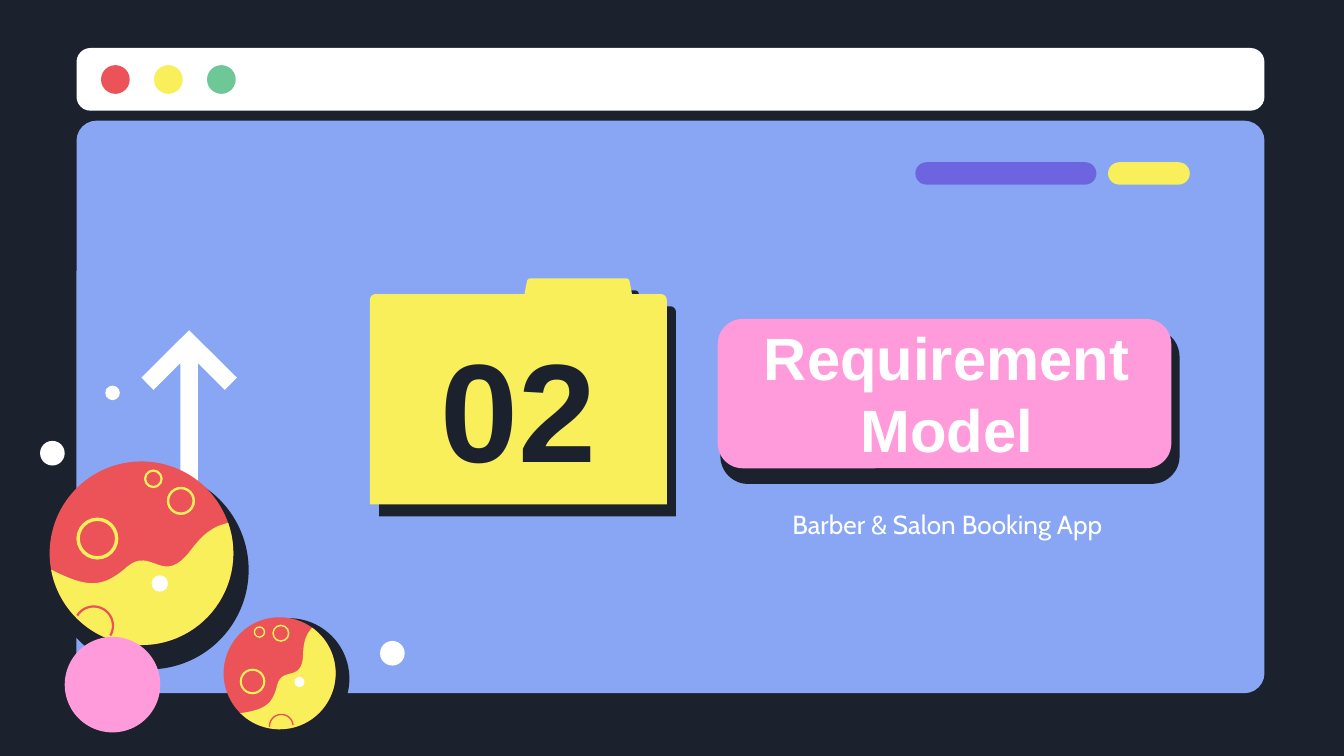
from math import cos, sin, radians
from lxml.etree import SubElement
from pptx import Presentation
from pptx.dml.color import RGBColor
from pptx.enum.shapes import MSO_SHAPE as Kind
from pptx.enum.text import MSO_ANCHOR as Anchor, PP_ALIGN as Align
from pptx.oxml.ns import qn
from pptx.util import Pt

NAVY = RGBColor(0x1B, 0x22, 0x2D)
WHITE = RGBColor(0xFF, 0xFF, 0xFF)
BLUE = RGBColor(0x88, 0xA6, 0xF3)
RED = RGBColor(0xEB, 0x53, 0x58)
YELLOW = RGBColor(0xF8, 0xEF, 0x5B)
GREEN = RGBColor(0x6D, 0xC7, 0x97)
PURPLE = RGBColor(0x6D, 0x65, 0xE0)
PINK = RGBColor(0xFF, 0x9B, 0xDA)

PANELS = [
    (41, 64.7, 636.4, 306.7, 0.035, BLUE),
    (41, 25.7, 636.4, 33.6, 0.223, WHITE),
    (490.4, 86.9, 97, 12, 0.5, PURPLE),
    (593.6, 86.9, 43.8, 12, 0.5, YELLOW),
]
LIGHTS = [RED, YELLOW, GREEN]
DOTS = [(28.1, 242.8, 6.6), (210.2, 350, 6.6), (60.3, 210.5, 3.9)]
ARROW = [
    (96.7, 308.9), (96.7, 194.4), (82.2, 208.9), (75.8, 202.3), (101.3, 176.9),
    (126.9, 202.3), (120.4, 208.9), (106, 194.4), (106, 308.9),
]
FOLDER = [
    (357.2, 160.7), (357.2, 270.2), (198.2, 270.2), (198.2, 160.7),
    (198.2, 159, 199.6, 157.6, 201.3, 157.6), (281, 157.6), (282.3, 150.8),
    (282.5, 149.8, 283.3, 149.1, 284.4, 149.1), (335.2, 149.1),
    (336.3, 149.1, 337.1, 149.8, 337.3, 150.8), (338.6, 157.6), (354, 157.6),
    (355.8, 157.6, 357.2, 159, 357.2, 160.7),
]
WAVE = [
    (-0.98, 0.18), (-0.59, 0.38, -0.42, 0.38, -0.16, 0.15),
    (0.12, -0.09, 0.23, 0.39, 0.55, -0.05), (0.70, -0.25, 0.82, -0.30, 0.94, -0.33),
]
RINGS = [(0.43, -0.57, 0.14, 1.3), (-0.48, -0.16, 0.21, 1.8), (0.13, -0.81, 0.09, 1.2)]
CRATER = (-0.52, 0.79, 0.21)
SPOT = (0.20, 0.33, 0.09)
BIG = (75.8, 296.4, 49.2, 0, (79.9, 305.3, 53.3))
SMALL = (149.8, 360.7, 30, -35.2, (154.8, 363.6, 32.4))
TEXTS = [
    ("02", 216.7, 182.2, 122.4, 71.3, 75, "Arial", True, NAVY),
    ("Requirement Model", 378.7, 177.1, 257, 66.2, 32, "Arial", True, WHITE),
    ("Barber & Salon Booking App", 410.4, 265, 194.4, 49.7, 14, "Cabin", False, WHITE),
]

deck = Presentation()
deck.slide_width, deck.slide_height = Pt(720), Pt(405)
slide = deck.slides.add_slide(deck.slide_layouts[6])
slide.background.fill.solid()
slide.background.fill.fore_color.rgb = NAVY


def paint(shape, fill=None, line=None, width=1):
    shape.shadow.inherit = False
    if fill is None:
        shape.fill.background()
    else:
        shape.fill.solid()
        shape.fill.fore_color.rgb = fill
    if line is None:
        shape.line.fill.background()
    else:
        shape.line.color.rgb = line
        shape.line.width = Pt(width)
    return shape


def panel(x, y, w, h, bend, fill, line=None, width=1):
    shape = slide.shapes.add_shape(Kind.ROUNDED_RECTANGLE, Pt(x), Pt(y), Pt(w), Pt(h))
    shape.adjustments[0] = bend
    paint(shape, fill, line, width)


def disc(x, y, r, fill=None, line=None, width=1):
    shape = slide.shapes.add_shape(Kind.OVAL, Pt(x - r), Pt(y - r), Pt(2 * r), Pt(2 * r))
    paint(shape, fill, line, width)


def trace(path, steps=16):
    spots = []
    for part in path:
        if len(part) == 2:
            spots.append(part)
            continue
        a, b, c, d = spots[-1], part[:2], part[2:4], part[4:]
        for i in range(1, steps + 1):
            t = i / steps
            u = 1 - t
            spots.append(tuple(
                u**3 * a[k] + 3 * u * u * t * b[k] + 3 * u * t * t * c[k] + t**3 * d[k]
                for k in (0, 1)))
    return spots


def arc(x, y, r, start, end, steps=48):
    turns = [radians(start + (end - start) * i / steps) for i in range(steps + 1)]
    return [(x + r * cos(t), y + r * sin(t)) for t in turns]


def outline(spots, fill=None, line=None, width=1, close=True):
    spots = [(Pt(x), Pt(y)) for x, y in spots]
    pen = slide.shapes.build_freeform(*spots[0], scale=1.0)
    pen.add_line_segments(spots[1:], close=close)
    return paint(pen.convert_to_shape(), fill, line, width)


def planet(x, y, r, turn, shade):
    c, s = cos(radians(turn)), sin(radians(turn))

    def place(u, v):
        return x + r * (u * c - v * s), y + r * (u * s + v * c)

    disc(*shade, NAVY)
    disc(x, y, r, RED)
    for u, v, size, width in RINGS:
        disc(*place(u, v), size * r, line=YELLOW, width=width * r / BIG[2])
    land = trace(WAVE) + arc(0, 0, 1, -19.2, 169.6)
    outline([place(*p) for p in land], YELLOW)
    rim = arc(*CRATER, 212, 390)
    outline([place(*p) for p in rim], line=RED, width=1.2 * r / BIG[2], close=False)
    disc(*place(*SPOT[:2]), SPOT[2] * r, WHITE)


def cast(shape):
    effects = shape._element.spPr.find(qn("a:effectLst"))
    shadow = SubElement(effects, qn("a:outerShdw"), blurRad="0", dist=str(Pt(8.2)),
                        dir=str(53 * 60000), algn="bl", rotWithShape="0")
    SubElement(shadow, qn("a:srgbClr"), val=str(NAVY))


def write(text, x, y, w, h, size, face, bold, color):
    frame = slide.shapes.add_textbox(Pt(x), Pt(y), Pt(w), Pt(h)).text_frame
    frame.word_wrap = True
    frame.margin_left = frame.margin_right = Pt(7.2)
    frame.margin_top = frame.margin_bottom = Pt(7.2)
    frame.vertical_anchor = Anchor.MIDDLE if bold else Anchor.TOP
    frame.text = text
    line = frame.paragraphs[0]
    line.alignment = Align.CENTER
    font = line.runs[0].font
    font.size, font.name, font.bold = Pt(size), face, bold
    font.color.rgb = color


for item in PANELS:
    panel(*item)
for i, hue in enumerate(LIGHTS):
    disc(61.8 + 28.4 * i, 42.6, 7.7, hue)
outline(ARROW, WHITE)
panel(387.4, 177.8, 243, 80, 0.167, NAVY, NAVY, 3)
panel(384.5, 170.9, 243, 80, 0.167, PINK)
cast(outline(trace(FOLDER), YELLOW))
for item in TEXTS:
    write(*item)
planet(*BIG)
disc(60.3, 366.8, 25.6, PINK)
planet(*SMALL)
for item in DOTS:
    disc(*item, WHITE)

deck.save("out.pptx")
